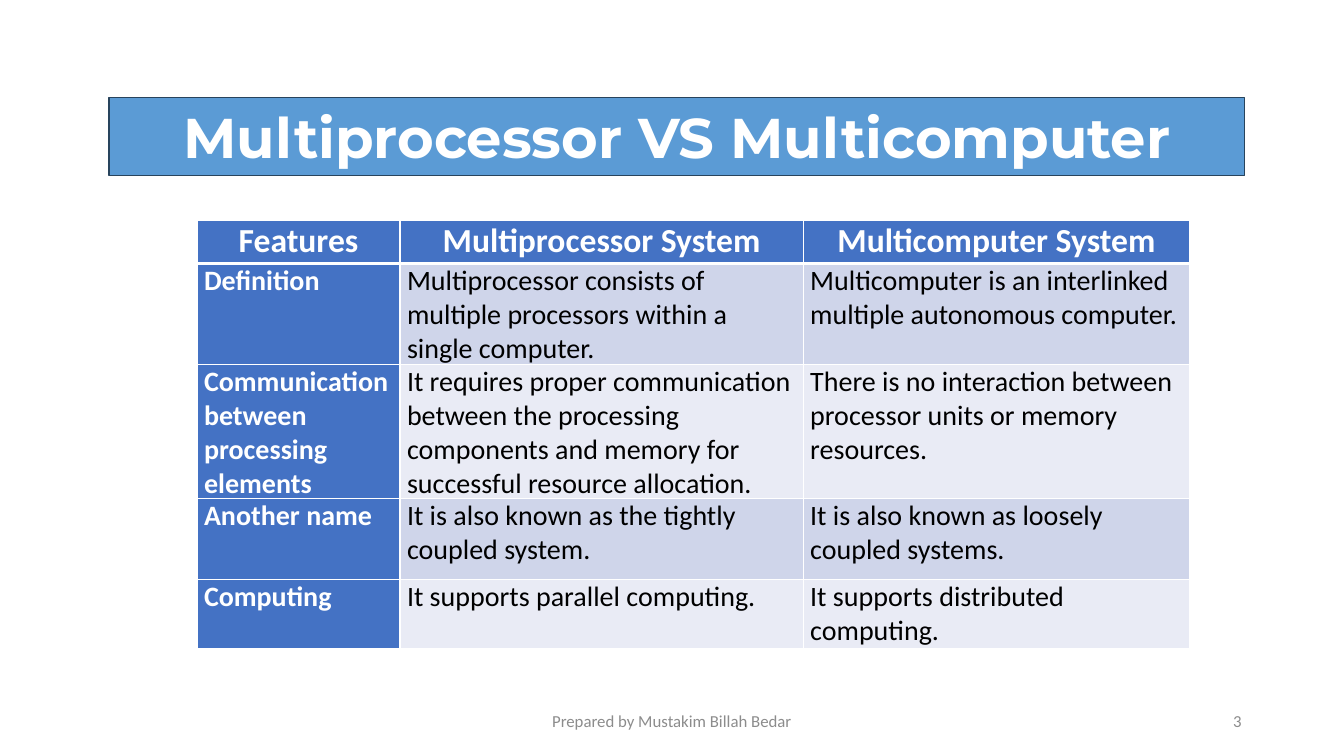
from lxml.etree import SubElement
from pptx import Presentation
from pptx.dml.color import RGBColor
from pptx.enum.shapes import MSO_SHAPE
from pptx.enum.text import MSO_ANCHOR, PP_ALIGN
from pptx.oxml.ns import qn
from pptx.util import Pt

WHITE = RGBColor(0xFF, 0xFF, 0xFF)
BLACK = RGBColor(0, 0, 0)
GREY = RGBColor(0x8C, 0x8C, 0x8C)
TITLE_BLUE = RGBColor(0x5B, 0x9B, 0xD5)
TITLE_EDGE = RGBColor(0x28, 0x44, 0x5D)
HEADER_BLUE = RGBColor(0x44, 0x72, 0xC4)
BANDS = (RGBColor(0xE9, 0xEB, 0xF5), RGBColor(0xCF, 0xD5, 0xEA))

COLUMN_WIDTHS = (145, 288, 276)
ROW_HEIGHTS = (31, 62, 84, 57.6, 49.7)
COMPARISON = (
    ("Features", "Multiprocessor System", "Multicomputer System"),
    ("Definition",
     "Multiprocessor consists of multiple processors within a single computer.",
     "Multicomputer is an interlinked multiple autonomous computer."),
    ("Communication between processing elements",
     "It requires proper communication between the processing components "
     "and memory for successful resource allocation.",
     "There is no interaction between processor units or memory resources."),
    ("Another name",
     "It is also known as the tightly coupled system.",
     "It is also known as loosely coupled systems."),
    ("Computing",
     "It supports parallel computing.",
     "It supports distributed computing."),
)


def write(frame, text, size, color, align, bold=False, font="Calibri"):
    frame.word_wrap = True
    paragraph = frame.paragraphs[0]
    paragraph.text = text
    paragraph.alignment = align
    paragraph.font.name = font
    paragraph.font.size = Pt(size)
    paragraph.font.bold = bold
    paragraph.font.color.rgb = color


def add_title(slide, left, top, width, height):
    banner = slide.shapes.add_shape(
        MSO_SHAPE.RECTANGLE, Pt(left), Pt(top), Pt(width), Pt(height))
    banner.shadow.inherit = False
    banner.fill.solid()
    banner.fill.fore_color.rgb = TITLE_BLUE
    banner.line.color.rgb = TITLE_EDGE
    banner.line.width = Pt(1)
    banner.text_frame.vertical_anchor = MSO_ANCHOR.TOP
    write(banner.text_frame, "Multiprocessor VS Multicomputer", 40, WHITE,
          PP_ALIGN.CENTER, bold=True, font="Montserrat")


def add_borders(cell, row):
    """White rules, with a heavier one below the header row."""
    properties = cell._tc.get_or_add_tcPr()
    widths = {"lnL": 1, "lnR": 1, "lnT": 3 if row == 1 else 1,
              "lnB": 3 if row == 0 else 1}
    for side, width in widths.items():
        rule = SubElement(properties, qn(f"a:{side}"), w=str(Pt(width)))
        fill = SubElement(rule, qn("a:solidFill"))
        SubElement(fill, qn("a:srgbClr"), val=str(WHITE))


def add_comparison(slide, left, top):
    table = slide.shapes.add_table(
        len(ROW_HEIGHTS), len(COLUMN_WIDTHS), Pt(left), Pt(top),
        Pt(sum(COLUMN_WIDTHS)), Pt(sum(ROW_HEIGHTS))).table
    table.first_col = True
    for column, width in zip(table.columns, COLUMN_WIDTHS):
        column.width = Pt(width)
    for r, (height, texts) in enumerate(zip(ROW_HEIGHTS, COMPARISON)):
        table.rows[r].height = Pt(height)
        for c, text in enumerate(texts):
            cell = table.cell(r, c)
            heading = r == 0 or c == 0
            cell.margin_left = cell.margin_right = Pt(5)
            cell.margin_top = cell.margin_bottom = 0
            add_borders(cell, r)
            cell.fill.solid()
            cell.fill.fore_color.rgb = HEADER_BLUE if heading else BANDS[r % 2]
            write(cell.text_frame, text, 24 if r == 0 else 20,
                  WHITE if heading else BLACK,
                  PP_ALIGN.CENTER if r == 0 else PP_ALIGN.LEFT, bold=heading)


def add_footer(slide, left, top, height):
    parts = (("Prepared by Mustakim Billah Bedar", 0, 324, PP_ALIGN.CENTER),
             ("3", 360, 216, PP_ALIGN.RIGHT))
    for text, offset, width, align in parts:
        box = slide.shapes.add_textbox(
            Pt(left + offset), Pt(top), Pt(width), Pt(height))
        box.text_frame.vertical_anchor = MSO_ANCHOR.MIDDLE
        write(box.text_frame, text, 12, GREY, align)


def main():
    presentation = Presentation()
    presentation.slide_width = Pt(960)
    presentation.slide_height = Pt(540)
    slide = presentation.slides.add_slide(presentation.slide_layouts[6])
    add_footer(slide, 318, 500.5, 28.75)
    add_title(slide, 78, 69.75, 811, 55.75)
    add_comparison(slide, 140.75, 157.25)
    presentation.save("out.pptx")


if __name__ == "__main__":
    main()
